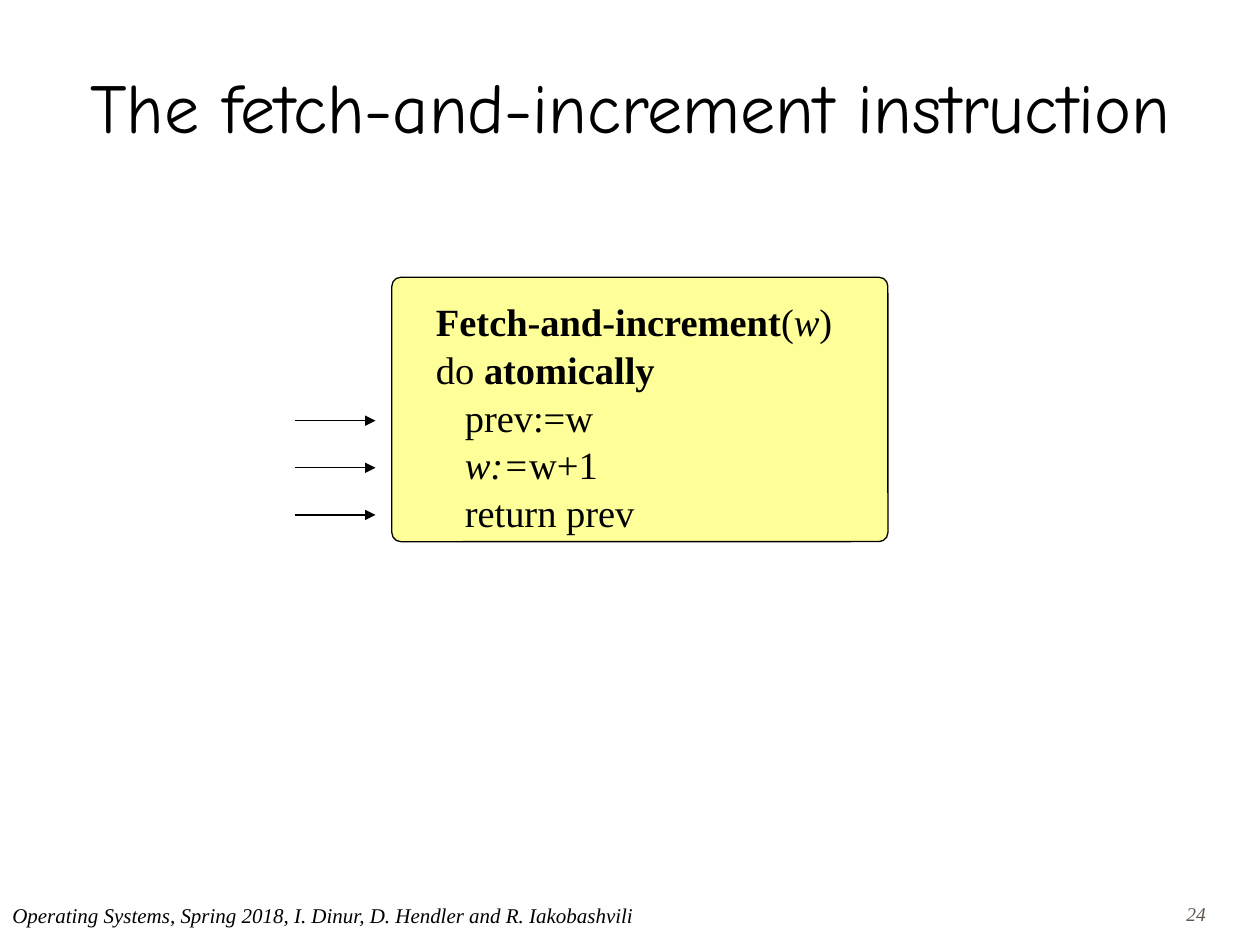
from lxml.etree import SubElement
from pptx import Presentation
from pptx.dml.color import RGBColor
from pptx.enum.shapes import MSO_CONNECTOR, MSO_SHAPE
from pptx.enum.text import MSO_ANCHOR, MSO_AUTO_SIZE, PP_ALIGN
from pptx.oxml.ns import qn
from pptx.util import Cm, Pt

TITLE = "The fetch-and-increment instruction"
FOOTER = "Operating Systems, Spring 2018, I. Dinur, D. Hendler and R. Iakobashvili"
PAGE_NUMBER = "24"
# Each code line is a list of (text, style), where style is "", "b" or "i".
CODE = [
    [("Fetch-and-increment", "b"), ("(", ""), ("w", "i"), (")", "")],
    [("do ", ""), ("atomically", "b")],
    [("   prev:=w", "")],
    [("   w:=", "i"), ("w+1", "")],
    [("   return prev", "")],
]
ARROW_COUNT = 3
ARROW_LEFT, ARROW_RIGHT, FIRST_ARROW_TOP, ARROW_STEP = 5.94, 7.57, 8.48, 0.95


def color(hex_value):
    return RGBColor.from_string(hex_value)


def write(shape, lines, size, font="Times New Roman", ink="000000",
          align=PP_ALIGN.LEFT, anchor=MSO_ANCHOR.TOP, margins=(0.25, 0.13),
          spacings=(1.0,)):
    """Fill a shape with lines of (text, style); the last spacing repeats."""
    frame = shape.text_frame
    frame.word_wrap = True
    frame.auto_size = MSO_AUTO_SIZE.NONE
    frame.vertical_anchor = anchor
    frame.margin_left = frame.margin_right = Cm(margins[0])
    frame.margin_top = frame.margin_bottom = Cm(margins[1])
    for index, line in enumerate(lines):
        para = frame.add_paragraph() if index else frame.paragraphs[0]
        para.alignment = align
        para.line_spacing = spacings[min(index, len(spacings) - 1)]
        for text, style in line:
            span = para.add_run()
            span.text = text
            span.font.name = font
            span.font.size = Pt(size)
            span.font.bold = style == "b"
            span.font.italic = style == "i"
            span.font.color.rgb = color(ink)


def add_text(slide, left, top, width, height, lines, size, **text_format):
    box = slide.shapes.add_textbox(Cm(left), Cm(top), Cm(width), Cm(height))
    write(box, lines, size, **text_format)


def add_arrow(slide, left, right, top):
    arrow = slide.shapes.add_connector(
        MSO_CONNECTOR.STRAIGHT, Cm(left), Cm(top), Cm(right), Cm(top))
    arrow.line.color.rgb = color("000000")
    arrow.line.width = Pt(0.75)
    SubElement(arrow.line._get_or_add_ln(), qn("a:tailEnd"), type="triangle")
    SubElement(arrow._element.spPr, qn("a:effectLst"))


def add_code_panel(slide):
    panel = slide.shapes.add_shape(
        MSO_SHAPE.ROUNDED_RECTANGLE, Cm(7.9), Cm(5.59), Cm(10), Cm(5.33))
    panel.adjustments[0] = 0.034
    panel.shadow.inherit = False
    panel.fill.solid()
    panel.fill.fore_color.rgb = color("FFFF99")
    panel.line.color.rgb = color("000000")
    panel.line.width = Pt(0.75)
    add_text(slide, 8.79, 6.07, 8.38, 4.72, CODE, 22,
             margins=(0, 0), spacings=(0.95, 1.03))


def main():
    deck = Presentation()
    deck.slide_width, deck.slide_height = Cm(25.4), Cm(19.05)
    slide = deck.slides.add_slide(deck.slide_layouts[5])

    title = slide.shapes.title
    title.left, title.top = Cm(0), Cm(0.53)
    title.width, title.height = Cm(25.4), Cm(3.18)
    write(title, [[(TITLE, "")]], 40, font="Comic Neue",
          align=PP_ALIGN.CENTER, anchor=MSO_ANCHOR.MIDDLE)

    add_code_panel(slide)
    for index in range(ARROW_COUNT):
        add_arrow(slide, ARROW_LEFT, ARROW_RIGHT,
                  FIRST_ARROW_TOP + index * ARROW_STEP)

    add_text(slide, 19.48, 18.11, 5.08, 0.76, [[(PAGE_NUMBER, "i")]], 11.1,
             ink="5E574E", align=PP_ALIGN.RIGHT, spacings=(0.9,))
    add_text(slide, 0, 18.06, 19.25, 1.27, [[(FOOTER, "i")]], 12)
    deck.save("out.pptx")


if __name__ == "__main__":
    main()
